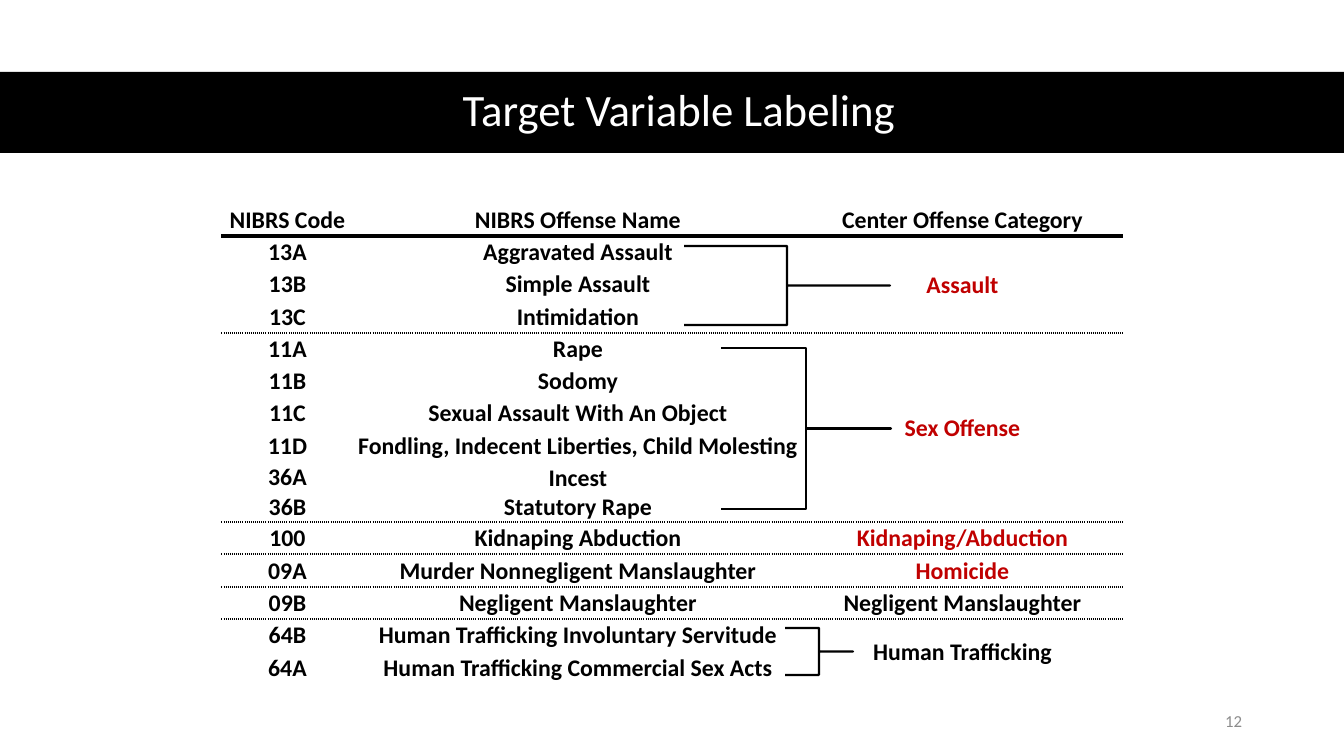
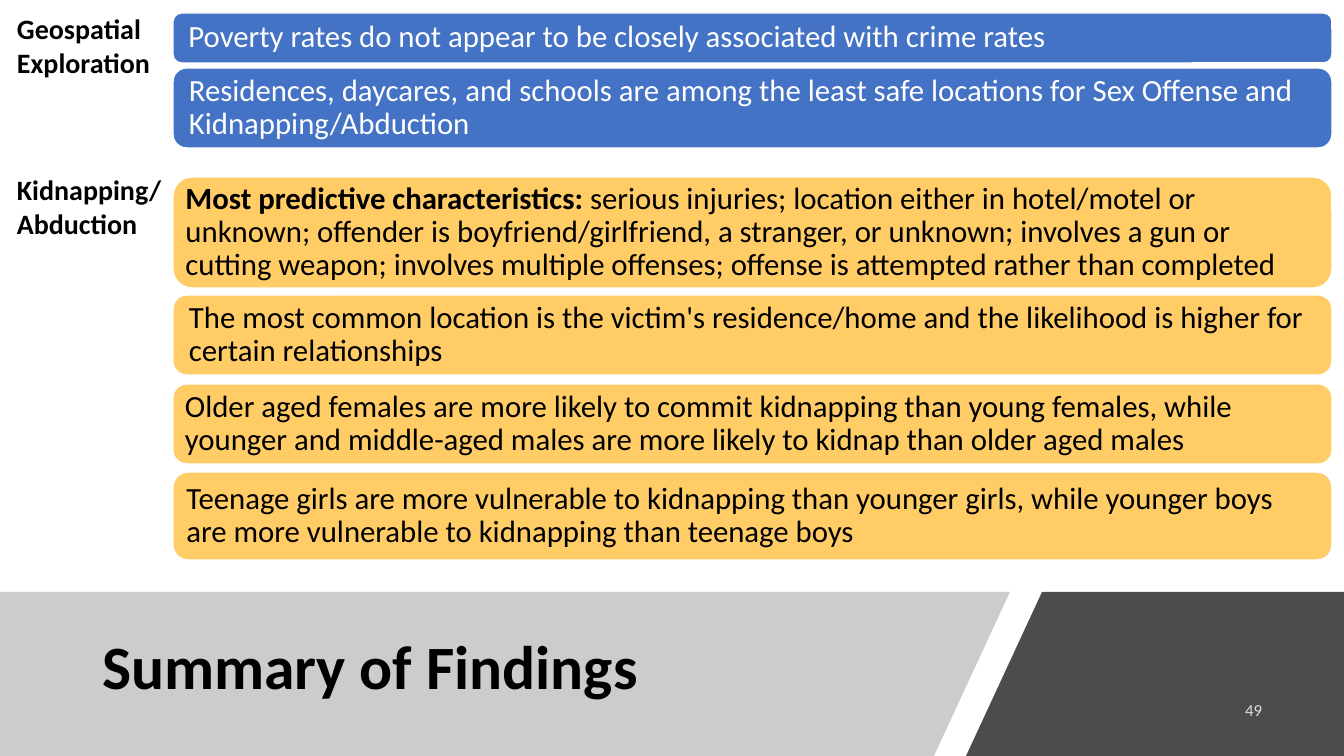
"""Build two slides: target variable labeling and summary of findings."""
from lxml.etree import SubElement
from pptx import Presentation
from pptx.dml.color import RGBColor
from pptx.enum.shapes import MSO_SHAPE
from pptx.enum.text import MSO_ANCHOR, MSO_AUTO_SIZE, PP_ALIGN
from pptx.oxml.ns import qn
from pptx.util import Pt

PX = 914400 / 100.8
FONT = "Calibri"
BLACK, WHITE, RED = "000000", "FFFFFF", "C00000"
BLUE, GOLD, GRAY = "4472C4", "FFCC66", "808080"
LEFT, MID, RIGHT = PP_ALIGN.LEFT, PP_ALIGN.CENTER, PP_ALIGN.RIGHT


def paint(fill, tone):
    """Give a fill one solid colour."""
    fill.solid()
    fill.fore_color.rgb = RGBColor.from_string(tone)


def write(frame, text, size=17, tone=BLACK, bold=False, align=LEFT, space=None, lead=""):
    """Fill a text frame, one paragraph a line, after an optional bold lead."""
    for i, line in enumerate(text.split("\n")):
        para = frame.add_paragraph() if i else frame.paragraphs[0]
        para.alignment = align
        para.line_spacing = space
        for words, heavy in ((lead, True), (line, bold)):
            if words:
                run = para.add_run()
                run.text = words
                run.font.name = FONT
                run.font.size = Pt(size)
                run.font.bold = heavy
                paint(run.font.fill, tone)


deck = Presentation()
deck.slide_width, deck.slide_height = round(1344 * PX), round(756 * PX)
plain = deck.slide_layouts[5]
label, finds = [deck.slides.add_slide(plain) for _ in range(2)]

# Target variable labeling
band = label.shapes.add_shape(MSO_SHAPE.RECTANGLE, 0, round(72 * PX), deck.slide_width, round(81 * PX))
band.shadow.inherit = False
paint(band.fill, BLACK)
band.line.fill.background()

rows = [
    ("NIBRS Code", "NIBRS Offense Name", "Center Offense Category"),
    ("13A", "Aggravated Assault", "Assault"),
    ("13B", "Simple Assault", ""),
    ("13C", "Intimidation", ""),
    ("11A", "Rape", "Sex Offense"),
    ("11B", "Sodomy", ""),
    ("11C", "Sexual Assault With An Object", ""),
    ("11D", "Fondling, Indecent Liberties, Child Molesting", ""),
    ("36A", "Incest\nStatutory Rape", ""),
    ("36B", "", ""),
    ("100", "Kidnaping Abduction", "Kidnaping/Abduction"),
    ("09A", "Murder Nonnegligent Manslaughter", "Homicide"),
    ("09B", "Negligent Manslaughter", "Negligent Manslaughter"),
    ("64B", "Human Trafficking Involuntary Servitude", "Human Trafficking"),
    ("64A", "Human Trafficking Commercial Sex Acts", ""),
]
highs = [32, 32, 32, 33, 32, 32, 32, 33, 30, 30, 32, 33, 32, 32, 33]
wides = [131, 450, 319]
reds = ("Assault", "Sex Offense", "Kidnaping/Abduction", "Homicide")
rules = {0: (3, "solid")} | {row: (1.5, "sysDot") for row in (3, 9, 10, 11, 12)}
spans = {(1, 2): 3, (4, 2): 9, (8, 1): 9, (13, 2): 14}

grid = label.shapes.add_table(
    len(rows), len(wides), round(222 * PX), round(204 * PX),
    round(sum(wides) * PX), round(sum(highs) * PX)).table
grid.first_row = grid.horz_banding = False
for col, wide in zip(grid.columns, wides):
    col.width = round(wide * PX)
for r, (high, texts) in enumerate(zip(highs, rows)):
    grid.rows[r].height = round(high * PX)
    for c, text in enumerate(texts):
        cell = grid.cell(r, c)
        cell.margin_left = cell.margin_right = cell.margin_top = round(PX)
        cell.margin_bottom = 0
        cell.vertical_anchor = MSO_ANCHOR.MIDDLE
        for tag, row in (("a:lnT", r - 1), ("a:lnB", spans.get((r, c), r))):
            edge = SubElement(cell._tc.get_or_add_tcPr(), qn(tag))
            if row in rules:
                thick, dash = rules[row]
                edge.set("w", str(Pt(thick)))
                SubElement(SubElement(edge, qn("a:solidFill")), qn("a:srgbClr"), val=BLACK)
                SubElement(edge, qn("a:prstDash"), val=dash)
            else:
                SubElement(edge, qn("a:noFill"))
        cell.fill.background()
        if text:
            write(cell.text_frame, text, tone=RED if text in reds else BLACK, bold=True, align=MID)
for (top, col), end in spans.items():
    grid.cell(top, col).merge(grid.cell(end, col))

for box in ((684, 246, 206, 79), (721, 348, 170, 161), (785, 628, 68, 47)):
    brace = label.shapes.add_shape(MSO_SHAPE.RIGHT_BRACE, *[round(n * PX) for n in box])
    brace.shadow.inherit = False
    brace.adjustments[0], brace.adjustments[1] = 0, 0.5
    brace.fill.background()
    paint(brace.line.fill, BLACK)
    brace.line.width = Pt(1.5)

# Summary of findings
for tone, alpha, dots in (
    (GRAY, 40, [(0, 592), (1010, 592), (934, 756), (0, 756)]),
    (BLACK, 70, [(1042, 592), (1344, 592), (1344, 756), (966, 756)]),
):
    pen = finds.shapes.build_freeform(*dots[0], scale=PX)
    pen.add_line_segments(dots[1:])
    slab = pen.convert_to_shape()
    slab.shadow.inherit = False
    paint(slab.fill, tone)
    slab.line.fill.background()
    SubElement(next(slab.element.iter(qn("a:srgbClr"))), qn("a:alpha"), val=str(alpha * 1000))

cards = [
    (13, 50, 13, BLUE, WHITE, "", "Poverty rates do not appear to be closely associated with crime rates"),
    (68, 80, 12, BLUE, WHITE, "",
     "Residences, daycares, and schools are among the least safe locations for Sex Offense and "
     "Kidnapping/Abduction"),
    (177, 111, 7, GOLD, BLACK, "Most predictive characteristics: ",
     "serious injuries; location either in hotel/motel or unknown; offender is boyfriend/girlfriend, "
     "a stranger, or unknown; involves a gun or cutting weapon; involves multiple offenses; "
     "offense is attempted rather than completed"),
    (295, 80, 12, GOLD, BLACK, "",
     "The most common location is the victim's residence/home and the likelihood is higher for "
     "certain relationships"),
    (384, 80, 8, GOLD, BLACK, "",
     "Older aged females are more likely to commit kidnapping than young females, while younger "
     "and middle-aged males are more likely to kidnap than older aged males"),
    (472, 88, 9, GOLD, BLACK, "",
     "Teenage girls are more vulnerable to kidnapping than younger girls, while younger boys "
     "are more vulnerable to kidnapping than teenage boys"),
]
for top, high, pad, back, ink, lead, text in cards:
    card = finds.shapes.add_shape(
        MSO_SHAPE.ROUNDED_RECTANGLE, *[round(n * PX) for n in (173, top, 1159, high)])
    card.shadow.inherit = False
    card.adjustments[0] = 0.17
    paint(card.fill, back)
    paint(card.line.fill, WHITE)
    card.line.width = Pt(1)
    frame = card.text_frame
    frame.word_wrap = True
    frame.vertical_anchor = MSO_ANCHOR.MIDDLE
    frame.margin_left = frame.margin_right = round(pad * PX)
    frame.margin_top = frame.margin_bottom = round(pad * PX)
    write(frame, text, size=22, tone=ink, space=0.9, lead=lead)

for top, wide, text in ((7, 154, "Geospatial\nExploration"), (168, 166, "Kidnapping/\nAbduction")):
    tag = finds.shapes.add_textbox(*[round(n * PX) for n in (7, top, wide, 78)])
    tag.text_frame.word_wrap = False
    write(tag.text_frame, text, size=20, bold=True)

# Titles and slide numbers
for slide, text, box, look, page, spot, ink in (
    (label, "Target Variable Labeling", (61, 71, 1236, 81),
     dict(size=32, tone=WHITE, align=MID), "12", (950, 701, 302, 40), "8C8C8C"),
    (finds, "Summary of Findings", (92, 609, 851, 121),
     dict(size=44, bold=True), "49", (1124, 690, 148, 40), "DBDBDB"),
):
    title = slide.shapes.title
    title.left, title.top, title.width, title.height = [round(n * PX) for n in box]
    title.text_frame.auto_size = MSO_AUTO_SIZE.NONE
    title.text_frame.vertical_anchor = MSO_ANCHOR.MIDDLE
    write(title.text_frame, text, space=0.9, **look)
    title.element.getparent().append(title.element)
    num = slide.shapes.add_textbox(*[round(n * PX) for n in spot])
    num.text_frame.word_wrap = True
    num.text_frame.vertical_anchor = MSO_ANCHOR.MIDDLE
    write(num.text_frame, page, size=12, tone=ink, align=RIGHT)

deck.save("out.pptx")
